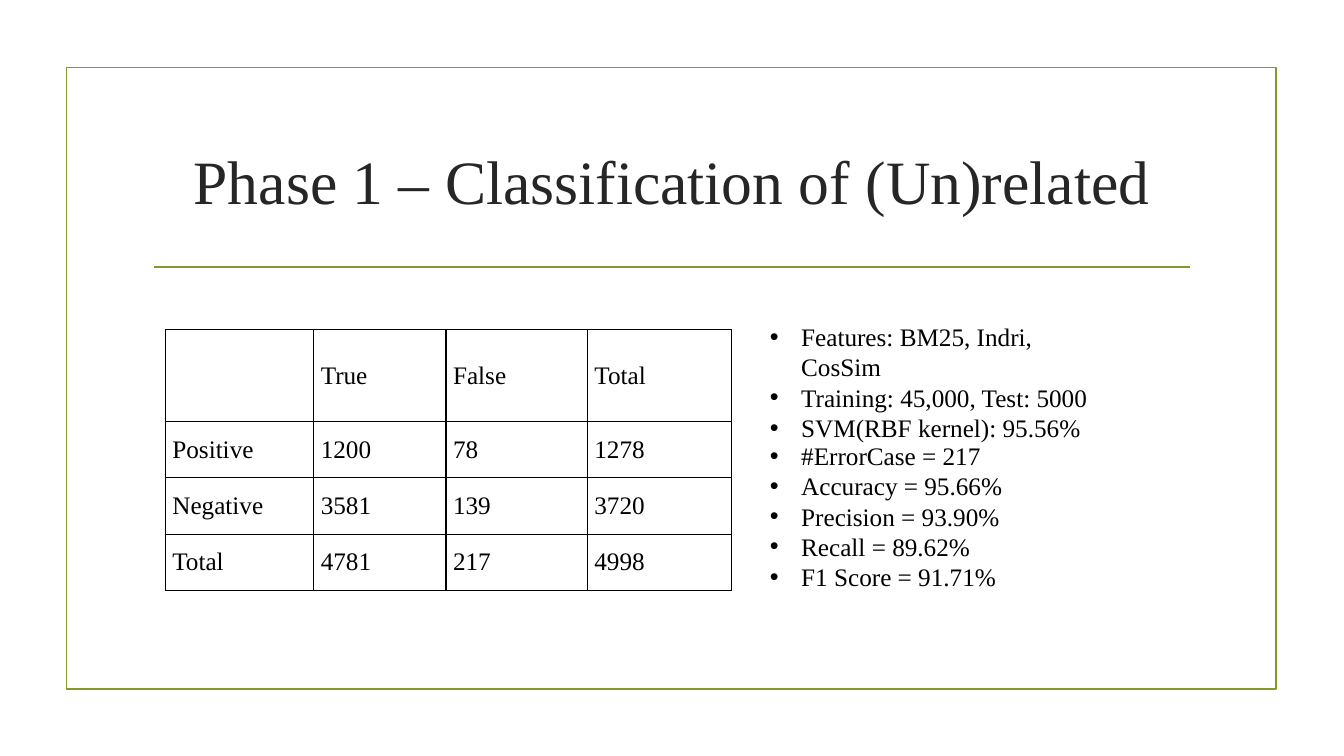
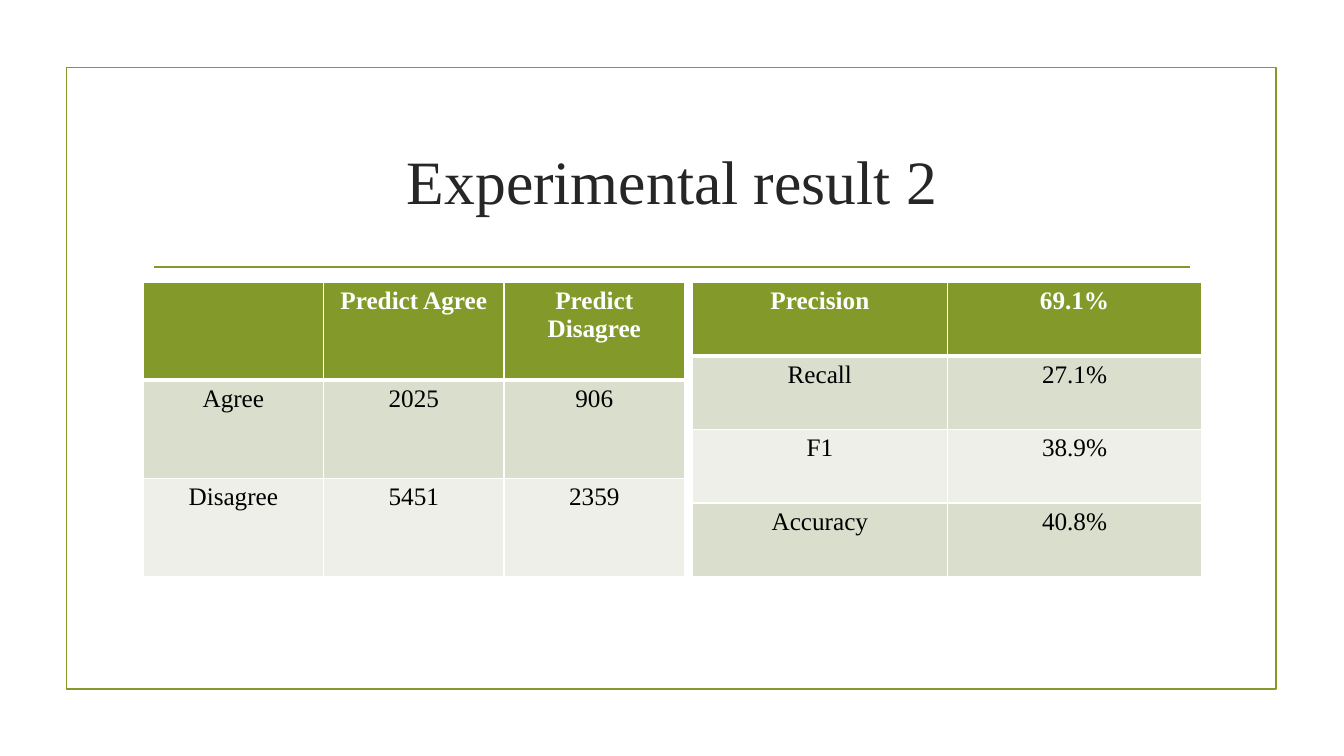
from dataclasses import dataclass

from lxml.etree import SubElement
from pptx import Presentation
from pptx.dml.color import RGBColor
from pptx.enum.shapes import MSO_CONNECTOR, MSO_SHAPE
from pptx.enum.text import MSO_ANCHOR, MSO_AUTO_SIZE, PP_ALIGN
from pptx.oxml.ns import qn
from pptx.util import Inches, Pt

SLIDE_WIDTH = Inches(13.33)
SLIDE_HEIGHT = Inches(7.5)
FONT = "Times New Roman"

GREEN = RGBColor(0x83, 0x99, 0x2A)
DARK_BAND = RGBColor(0xD9, 0xDE, 0xCD)
LIGHT_BAND = RGBColor(0xED, 0xEF, 0xE8)
CHARCOAL = RGBColor(0x26, 0x26, 0x26)
BLACK = RGBColor(0, 0, 0)
WHITE = RGBColor(0xFF, 0xFF, 0xFF)


@dataclass(frozen=True)
class Region:
    """Left, top, width and height in percent of the slide."""

    left: float
    top: float
    width: float
    height: float

    def box(self) -> tuple[int, int, int, int]:
        return (
            across(self.left),
            down(self.top),
            across(self.width),
            down(self.height),
        )


@dataclass(frozen=True)
class TableStyle:
    border: RGBColor
    header_color: RGBColor
    header_fill: RGBColor | None = None
    header_bold: bool = False
    header_rule: float = 1
    bands: tuple[RGBColor, ...] = ()
    align: PP_ALIGN = PP_ALIGN.LEFT
    anchor: MSO_ANCHOR = MSO_ANCHOR.TOP
    side_margin: float = 0.1
    end_margin: float = 0.05


@dataclass(frozen=True)
class TableContent:
    region: Region
    columns: tuple[float, ...]
    rows: tuple[float, ...]
    cells: tuple[tuple[str, ...], ...]
    style: TableStyle


@dataclass(frozen=True)
class BulletList:
    region: Region
    items: tuple[str, ...]


@dataclass(frozen=True)
class SlideContent:
    title: str
    tables: tuple[TableContent, ...]
    lists: tuple[BulletList, ...] = ()


FRAME = Region(4.95, 8.93, 90, 82.27)
TITLE = Region(10.65, 14.27, 78.75, 19.07)
TITLE_RULE = Region(11.48, 35.33, 77.1, 0)

PLAIN = TableStyle(
    border=BLACK,
    header_color=BLACK,
    anchor=MSO_ANCHOR.MIDDLE,
    side_margin=0.07,
    end_margin=0.07,
)
BANDED = TableStyle(
    border=WHITE,
    header_color=WHITE,
    header_fill=GREEN,
    header_bold=True,
    header_rule=3,
    bands=(DARK_BAND, LIGHT_BAND),
    align=PP_ALIGN.CENTER,
)

SLIDES = (
    SlideContent(
        "Phase 1 – Classification of (Un)related",
        (
            TableContent(
                Region(12.3, 43.6, 42.15, 34.53),
                (1.47, 1.31, 1.4, 1.43),
                (0.91, 0.56, 0.56, 0.56),
                (
                    ("", "True", "False", "Total"),
                    ("Positive", "1200", "78", "1278"),
                    ("Negative", "3581", "139", "3720"),
                    ("Total", "4781", "217", "4998"),
                ),
                PLAIN,
            ),
        ),
        (
            BulletList(
                Region(56.55, 41.87, 26.48, 13.47),
                (
                    "Features: BM25, Indri, CosSim",
                    "Training: 45,000, Test: 5000",
                    "SVM(RBF kernel): 95.56%",
                ),
            ),
            BulletList(
                Region(56.55, 57.6, 29.78, 25.6),
                (
                    "#ErrorCase = 217",
                    "Accuracy = 95.66%",
                    "Precision = 93.90%",
                    "Recall = 89.62%",
                    "F1 Score = 91.71%",
                ),
            ),
        ),
    ),
    SlideContent(
        "Experimental result 2",
        (
            TableContent(
                Region(10.65, 37.33, 40.28, 38.93),
                (1, 1, 1),
                (1, 1, 1),
                (
                    ("", "Predict Agree", "Predict Disagree"),
                    ("Agree", "2025", "906"),
                    ("Disagree", "5451", "2359"),
                ),
                BANDED,
            ),
            TableContent(
                Region(51.53, 37.33, 37.9, 38.93),
                (1, 1),
                (1, 1, 1, 1),
                (
                    ("Precision", "69.1%"),
                    ("Recall", "27.1%"),
                    ("F1", "38.9%"),
                    ("Accuracy", "40.8%"),
                ),
                BANDED,
            ),
        ),
    ),
)


def across(percent: float) -> int:
    return round(SLIDE_WIDTH * percent / 100)


def down(percent: float) -> int:
    return round(SLIDE_HEIGHT * percent / 100)


def write_text(paragraph, text: str, *, size: float = 18, color: RGBColor = BLACK,
               bold: bool = False, align: PP_ALIGN = PP_ALIGN.LEFT,
               bullet: bool = False) -> None:
    paragraph.alignment = align
    paragraph.font.size = Pt(size)
    if text:
        run = paragraph.add_run()
        run.text = text
        run.font.name = FONT
        run.font.size = Pt(size)
        run.font.bold = bold
        run.font.color.rgb = color
    if bullet:
        properties = paragraph._p.get_or_add_pPr()
        indent = Inches(0.31)
        properties.set("marL", str(indent))
        properties.set("indent", str(-indent))
        bullet_font = SubElement(properties, qn("a:buFont"))
        bullet_font.set("typeface", "Arial")
        bullet_mark = SubElement(properties, qn("a:buChar"))
        bullet_mark.set("char", "•")
        default_format = properties.find(qn("a:defRPr"))
        if default_format is not None:
            properties.append(default_format)


def add_frame(slide) -> None:
    frame = slide.shapes.add_shape(MSO_SHAPE.RECTANGLE, *FRAME.box())
    frame.shadow.inherit = False
    frame.fill.background()
    left, top, width, height = TITLE_RULE.box()
    rule = slide.shapes.add_connector(
        MSO_CONNECTOR.STRAIGHT, left, top, left + width, top + height
    )
    SubElement(rule._element.spPr, qn("a:effectLst"))
    for shape in (frame, rule):
        shape.line.color.rgb = GREEN
        shape.line.width = Pt(1.25)


def add_title(slide, text: str) -> None:
    title = slide.shapes.title
    title.left, title.top, title.width, title.height = TITLE.box()
    text_frame = title.text_frame
    text_frame.word_wrap = True
    text_frame.auto_size = MSO_AUTO_SIZE.NONE
    text_frame.vertical_anchor = MSO_ANCHOR.MIDDLE
    write_text(text_frame.paragraphs[0], text, size=44, color=CHARCOAL,
               align=PP_ALIGN.CENTER)


def set_borders(cell, color: RGBColor, widths: dict[str, float]) -> None:
    properties = cell._tc.get_or_add_tcPr()
    for position, (side, width) in enumerate(widths.items()):
        line = SubElement(properties, qn(f"a:ln{side}"))
        line.set("w", str(Pt(width)))
        fill = SubElement(line, qn("a:solidFill"))
        SubElement(fill, qn("a:srgbClr")).set("val", str(color))
        properties.insert(position, line)


def format_cell(cell, text: str, row: int, style: TableStyle) -> None:
    is_header = row == 0
    band = style.bands[(row - 1) % len(style.bands)] if style.bands else None
    fill = style.header_fill if is_header else band
    if fill is None:
        cell.fill.background()
    else:
        cell.fill.solid()
        cell.fill.fore_color.rgb = fill
    cell.vertical_anchor = style.anchor
    cell.margin_left = cell.margin_right = Inches(style.side_margin)
    cell.margin_top = cell.margin_bottom = Inches(style.end_margin)
    write_text(cell.text_frame.paragraphs[0], text, align=style.align,
               color=style.header_color if is_header else BLACK,
               bold=is_header and style.header_bold)
    set_borders(cell, style.border, {
        "L": 1,
        "R": 1,
        "T": style.header_rule if row == 1 else 1,
        "B": style.header_rule if is_header else 1,
    })


def add_table(slide, content: TableContent) -> None:
    left, top, width, height = content.region.box()
    table = slide.shapes.add_table(
        len(content.rows), len(content.columns), left, top, width, height
    ).table
    table.first_row = table.horz_banding = False
    for column, share in zip(table.columns, content.columns):
        column.width = round(width * share / sum(content.columns))
    for row, share in zip(table.rows, content.rows):
        row.height = round(height * share / sum(content.rows))
    for row, texts in enumerate(content.cells):
        for column, text in enumerate(texts):
            format_cell(table.cell(row, column), text, row, content.style)


def add_list(slide, content: BulletList) -> None:
    text_frame = slide.shapes.add_textbox(*content.region.box()).text_frame
    text_frame.word_wrap = True
    for position, item in enumerate(content.items):
        paragraph = text_frame.add_paragraph() if position else text_frame.paragraphs[0]
        write_text(paragraph, item, bullet=True)


def main() -> None:
    presentation = Presentation()
    presentation.slide_width = SLIDE_WIDTH
    presentation.slide_height = SLIDE_HEIGHT
    title_only = presentation.slide_layouts[5]
    for content in SLIDES:
        slide = presentation.slides.add_slide(title_only)
        add_frame(slide)
        add_title(slide, content.title)
        for table in content.tables:
            add_table(slide, table)
        for bullet_list in content.lists:
            add_list(slide, bullet_list)
    presentation.save("out.pptx")


if __name__ == "__main__":
    main()
